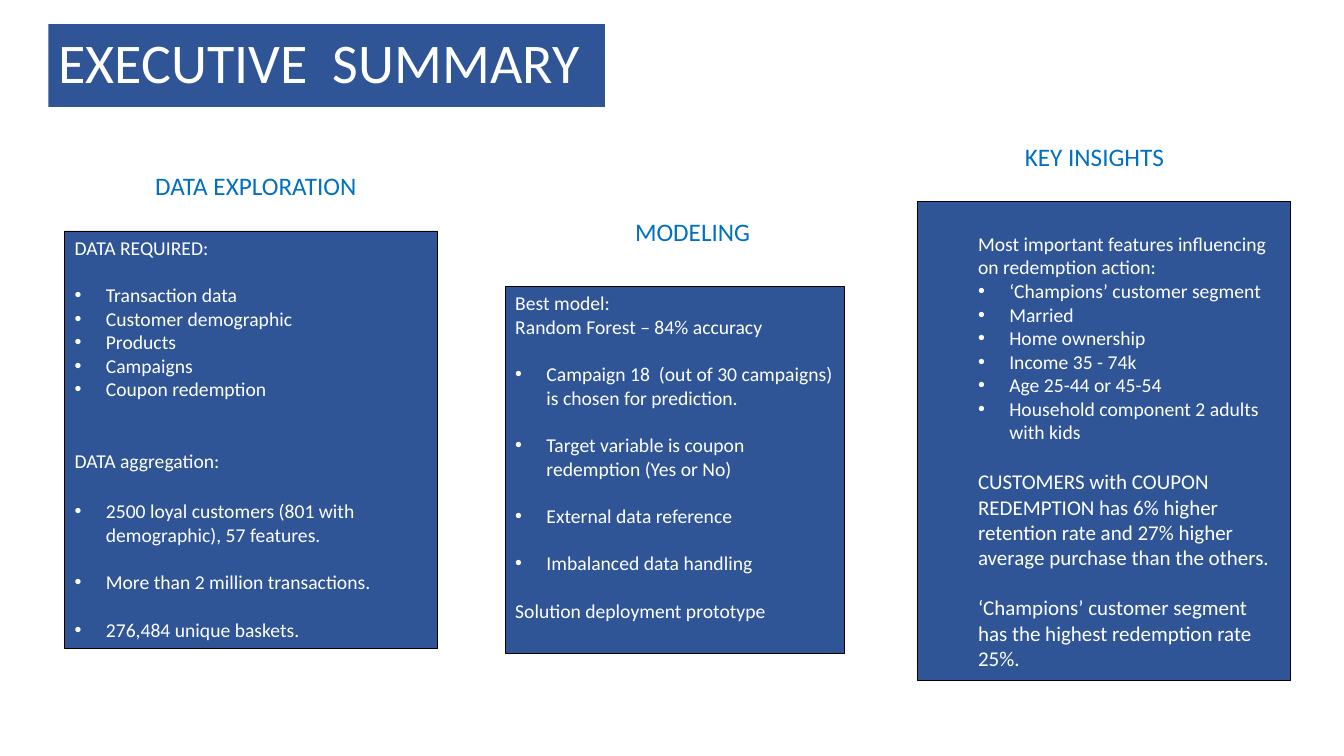
from lxml import etree
from pptx import Presentation
from pptx.dml.color import RGBColor
from pptx.enum.text import MSO_ANCHOR, MSO_AUTO_SIZE, PP_ALIGN
from pptx.oxml.ns import qn
from pptx.util import Pt

LEFT, CENTER = PP_ALIGN.LEFT, PP_ALIGN.CENTER
TOP, MIDDLE = MSO_ANCHOR.TOP, MSO_ANCHOR.MIDDLE
FIXED = MSO_AUTO_SIZE.NONE
EMU_PER_PX = 9144  # 100 px to the inch
COMPARISON_LAYOUT = 4
COLORS = {"panel": "2F5597", "heading": "0070C0", "text": "FFFFFF", "border": "000000"}
FONT = "Calibri"
HANG = 31  # bullet indent, px
GAP = 17  # one line of 14 pt text, in points
WIDE_GAP = 18  # one line of 15 pt text


def px(length):
    return length * EMU_PER_PX


def color(name):
    return RGBColor.from_string(COLORS[name])


class SummarySlide:
    def __init__(self, presentation):
        layout = presentation.slide_layouts[COMPARISON_LAYOUT]
        self.slide = presentation.slides.add_slide(layout)

    def place(self, shape, box, anchor=TOP):
        shape.left, shape.top, shape.width, shape.height = map(px, box)
        frame = shape.text_frame
        frame.word_wrap = True
        frame.auto_size = FIXED
        frame.vertical_anchor = anchor
        return frame

    def fill(self, shape):
        shape.fill.solid()
        shape.fill.fore_color.rgb = color("panel")

    def add_text(self, paragraph, text, size, ink="text", align=LEFT):
        paragraph.alignment = align
        run = paragraph.add_run()
        run.text = text
        run.font.name = FONT
        run.font.size = Pt(size)
        run.font.bold = False
        run.font.color.rgb = color(ink)

    def title(self, text, box):
        banner = self.slide.shapes.title
        self.fill(banner)
        paragraph = self.place(banner, box, MIDDLE).paragraphs[0]
        paragraph.line_spacing = 0.9
        self.add_text(paragraph, text, 40)

    def heading(self, text, box, align):
        label = self.slide.shapes.add_textbox(*map(px, box))
        paragraph = self.place(label, box).paragraphs[0]
        self.add_text(paragraph, text, 18, "heading", align)

    def panel(self, index, box, lines, level=0, inset_top=5):
        body = self.slide.placeholders[index]
        self.fill(body)
        body.line.color.rgb = color("border")
        body.line.width = Pt(0.25)
        frame = self.place(body, box)
        frame.margin_top = px(inset_top)
        for number, (bulleted, text, size, gap) in enumerate(lines):
            paragraph = frame.add_paragraph() if number else frame.paragraphs[0]
            paragraph.level = level
            self.bullet(paragraph, bulleted, level * 50)
            paragraph.space_before = Pt(gap)
            self.add_text(paragraph, text, size)

    def bullet(self, paragraph, bulleted, margin):
        properties = paragraph._p.get_or_add_pPr()
        hang = HANG if bulleted else 0
        properties.set("marL", str(px(margin + hang)))
        properties.set("indent", str(px(-hang)))
        if bulleted:
            etree.SubElement(properties, qn("a:buFont")).set("typeface", "Arial")
            etree.SubElement(properties, qn("a:buChar")).set("char", "•")
        else:
            etree.SubElement(properties, qn("a:buNone"))

    def remove_placeholder(self, index):
        element = self.slide.placeholders[index]._element
        element.getparent().remove(element)


def plain(text, gap=0, size=14):
    return False, text, size, gap


def item(text, gap=0):
    return True, text, 14, gap


def main():
    presentation = Presentation()
    presentation.slide_width, presentation.slide_height = px(1333), px(750)
    summary = SummarySlide(presentation)

    summary.title("EXECUTIVE  SUMMARY", (48, 24, 552, 82))

    # Data exploration
    summary.heading("DATA EXPLORATION", (144, 164, 241, 40), LEFT)
    summary.panel(1, (64, 229, 370, 414), [
        plain("DATA REQUIRED:"),
        item("Transaction data", GAP),
        item("Customer demographic"),
        item("Products"),
        item("Campaigns"),
        item("Coupon redemption"),
        plain("DATA aggregation:", 2 * GAP),
        item("2500 loyal customers (801 with demographic), 57 features.", 19.5),
        item("More than 2 million transactions.", GAP),
        item("276,484 unique baskets.", GAP),
    ])

    # Modeling
    summary.heading("MODELING", (620, 210, 170, 40), LEFT)
    summary.panel(2, (501, 284, 336, 364), [
        plain("Best model:"),
        plain("Random Forest – 84% accuracy"),
        item("Campaign 18  (out of 30 campaigns) is chosen for prediction.", GAP),
        item("Target variable is coupon redemption (Yes or No)", GAP),
        item("External data reference", GAP),
        item("Imbalanced data handling", GAP),
        plain("Solution deployment prototype", GAP),
    ])

    # Key insights
    summary.heading("KEY INSIGHTS", (938, 135, 295, 40), CENTER)
    summary.panel(3, (910, 200, 370, 475), [
        plain("Most important features influencing on redemption action:"),
        item("‘Champions’ customer segment"),
        item("Married"),
        item("Home ownership"),
        item("Income 35 - 74k"),
        item("Age 25-44 or 45-54"),
        item("Household component 2 adults with kids"),
        plain("CUSTOMERS with COUPON REDEMPTION has 6% higher retention rate "
              "and 27% higher average purchase than the others.", WIDE_GAP, 15),
        plain("‘Champions’ customer segment has the highest redemption rate 25%.",
              WIDE_GAP, 15),
    ], level=1, inset_top=30)

    summary.remove_placeholder(4)
    presentation.save("out.pptx")


if __name__ == "__main__":
    main()
